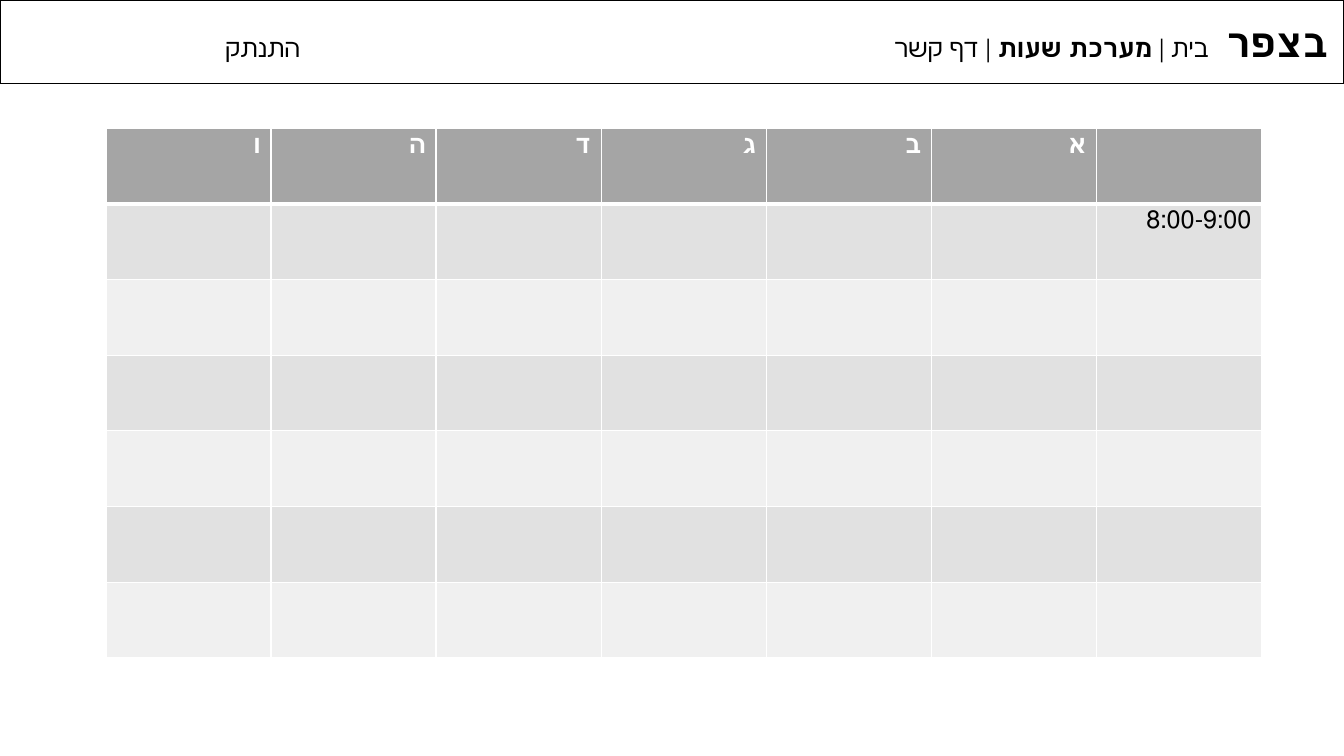
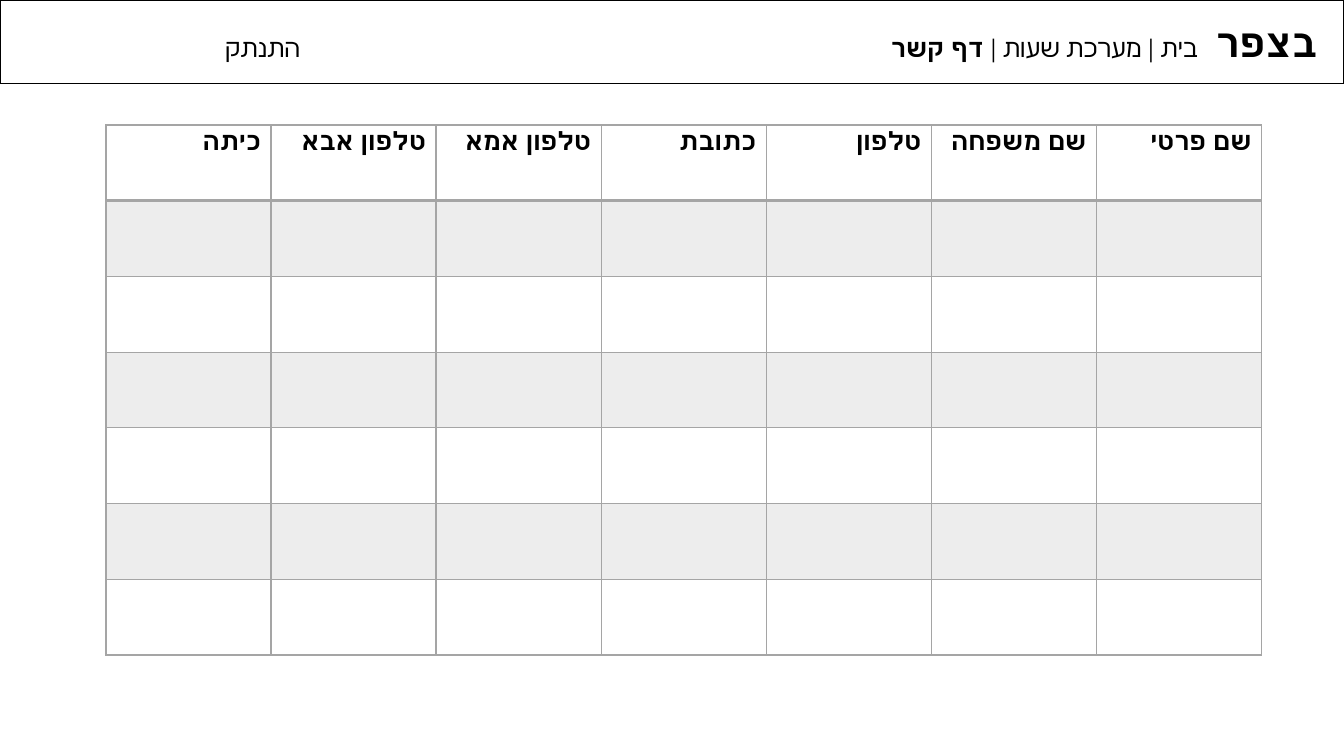
from lxml import etree
from pptx import Presentation
from pptx.dml.color import RGBColor
from pptx.enum.lang import MSO_LANGUAGE_ID
from pptx.enum.shapes import MSO_SHAPE
from pptx.enum.text import MSO_ANCHOR, PP_ALIGN
from pptx.oxml.ns import qn
from pptx.util import Inches, Pt

RECTANGLE = MSO_SHAPE.RECTANGLE
MIDDLE = MSO_ANCHOR.MIDDLE
RIGHT = PP_ALIGN.RIGHT
HEBREW = MSO_LANGUAGE_ID.HEBREW

BLACK = RGBColor(0x00, 0x00, 0x00)
WHITE = RGBColor(0xFF, 0xFF, 0xFF)
GRAY = RGBColor(0xA5, 0xA5, 0xA5)
BAND_DARK = RGBColor(0xE1, 0xE1, 0xE1)
BAND_LIGHT = RGBColor(0xF0, 0xF0, 0xF0)

FONT = "Calibri"
BODY_SIZE = 18
BRAND_SIZE = 28
BRAND = "בצפר"
MENU = ["בית", "מערכת שעות", "דף קשר"]
SIGN_OUT = "התנתק"

DAYS = ["ו", "ה", "ד", "ג", "ב", "א", ""]
FIRST_HOUR = "8:00-9:00"
CONTACT_FIELDS = ["כיתה", "טלפון אבא", "טלפון אמא", "כתובת",
                  "טלפון", "שם משפחה", "שם פרטי"]
BODY_ROWS = 6


def write_span(para, text, size=BODY_SIZE, bold=False, color=BLACK, spacing=0):
    """Add a right-to-left span; spacing is extra letter spacing in points."""
    para.alignment = RIGHT
    para._p.get_or_add_pPr().set("rtl", "1")
    span = para.add_run()
    span.text = text
    font = span.font
    font.name, font.size, font.bold = FONT, Pt(size), bold
    font.color.rgb = color
    font.language_id = HEBREW
    if spacing:
        span._r.get_or_add_rPr().set("spc", str(spacing * 100))


def set_border(cell, side, color, width):
    """Draw one side (L, R, T or B) of a cell; call before filling it."""
    properties = cell._tc.get_or_add_tcPr()
    line = etree.SubElement(properties, qn(f"a:ln{side}"), w=str(Pt(width)))
    fill = etree.SubElement(line, qn("a:solidFill"))
    etree.SubElement(fill, qn("a:srgbClr"), val=str(color))


def fill_cell(cell, color, opacity=100):
    cell.fill.solid()
    cell.fill.fore_color.rgb = color
    if opacity < 100:
        tone = cell._tc.tcPr.find(qn("a:solidFill")).find(qn("a:srgbClr"))
        etree.SubElement(tone, qn("a:alpha"), val=str(opacity * 1000))


class SchoolDeck:
    """Builds pages; every length is a percentage of the slide's size."""

    BAR_HEIGHT = 11.07
    TABLE_LEFT, TABLE_WIDTH, TABLE_HEIGHT = 7.88, 86, 70.13

    def __init__(self):
        self.deck = Presentation()
        self.deck.slide_width = Inches(13.33)
        self.deck.slide_height = Inches(7.5)
        self.page = None

    def across(self, percent):
        return round(self.deck.slide_width * percent / 100)

    def down(self, percent):
        return round(self.deck.slide_height * percent / 100)

    def place(self, left, top, width, height):
        return (self.across(left), self.down(top),
                self.across(width), self.down(height))

    def add_page(self, active, indent):
        """Start a page whose bar shows the active menu entry in bold."""
        self.page = self.deck.slides.add_slide(self.deck.slide_layouts[6])
        self.add_bar(active, indent)
        self.add_sign_out()

    def add_bar(self, active, indent):
        bar = self.page.shapes.add_shape(
            RECTANGLE, *self.place(0, 0, 100, self.BAR_HEIGHT))
        bar.shadow.inherit = False
        bar.fill.solid()
        bar.fill.fore_color.rgb = WHITE
        bar.line.color.rgb = BLACK
        bar.line.width = Pt(1)
        frame = bar.text_frame
        frame.vertical_anchor = MIDDLE
        frame.margin_right = self.across(indent)
        para = frame.paragraphs[0]
        write_span(para, BRAND, size=BRAND_SIZE, bold=True)
        write_span(para, " ", size=BRAND_SIZE, spacing=6)
        for index, entry in enumerate(MENU):
            if index:
                write_span(para, " | ")
            write_span(para, entry, bold=entry == active)

    def add_sign_out(self):
        box = self.page.shapes.add_textbox(
            *self.place(10, 0.67, 12.33, self.BAR_HEIGHT))
        frame = box.text_frame
        frame.word_wrap = True
        frame.vertical_anchor = MIDDLE
        frame.margin_left = frame.margin_right = 0
        write_span(frame.paragraphs[0], SIGN_OUT)

    def add_table(self, top, headings, heading_color, heading_fill, bands,
                  border, rule_width, opacity=100):
        """Add a banded grid; rule_width is the line below the headings."""
        rows, columns = BODY_ROWS + 1, len(headings)
        table = self.page.shapes.add_table(rows, columns, *self.place(
            self.TABLE_LEFT, top, self.TABLE_WIDTH, self.TABLE_HEIGHT)).table
        table.horz_banding = False
        for row in range(rows):
            for column in range(columns):
                cell = table.cell(row, column)
                widths = {"L": 1, "R": 1,
                          "T": rule_width if row == 1 else 1,
                          "B": rule_width if row == 0 else 1}
                for side, width in widths.items():
                    set_border(cell, side, border, width)
                color = bands[(row - 1) % 2] if row else heading_fill
                fill_cell(cell, color, opacity if color == GRAY else 100)
        for column, heading in enumerate(headings):
            if heading:
                write_span(table.cell(0, column).text_frame.paragraphs[0],
                           heading, bold=True, color=heading_color)
        return table


def main():
    school = SchoolDeck()

    school.add_page(active="מערכת שעות", indent=1.2)
    timetable = school.add_table(
        16.93, DAYS, heading_color=WHITE, heading_fill=GRAY,
        bands=(BAND_DARK, BAND_LIGHT), border=WHITE, rule_width=3)
    hour_cell = timetable.cell(1, len(DAYS) - 1)
    write_span(hour_cell.text_frame.paragraphs[0], FIRST_HOUR)

    school.add_page(active="דף קשר", indent=2)
    school.add_table(
        16.53, CONTACT_FIELDS, heading_color=BLACK, heading_fill=WHITE,
        bands=(GRAY, WHITE), border=GRAY, rule_width=2, opacity=20)

    school.deck.save("out.pptx")


if __name__ == "__main__":
    main()
